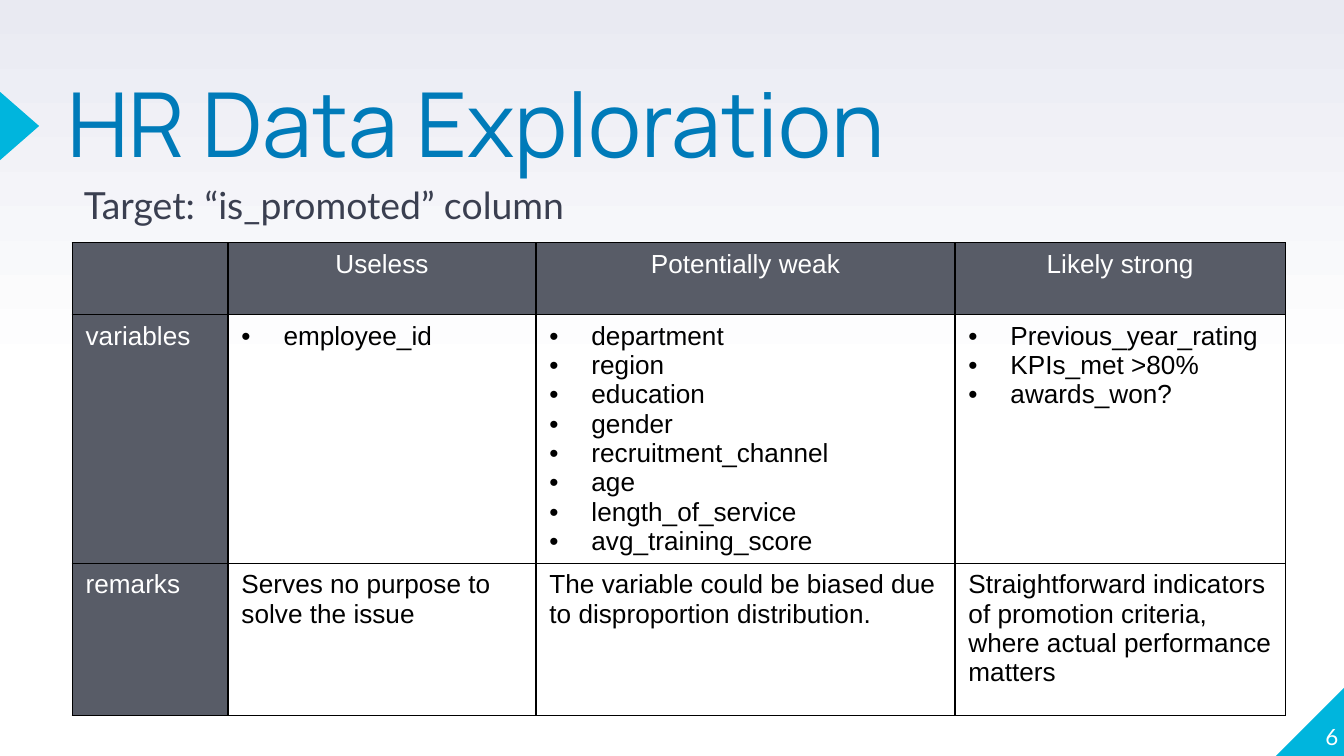
from lxml.etree import SubElement
from pptx import Presentation
from pptx.dml.color import RGBColor
from pptx.enum.shapes import MSO_SHAPE
from pptx.enum.text import MSO_ANCHOR, MSO_AUTO_SIZE, PP_ALIGN
from pptx.oxml.ns import qn
from pptx.util import Pt

TITLE = "HR Data Exploration"
TARGET = "Target: “is_promoted” column"
PAGE_NUMBER = "6"
HEADINGS = ["", "Useless", "Potentially weak", "Likely strong"]
VARIABLES = [
    ["employee_id"],
    ["department", "region", "education", "gender", "recruitment_channel",
     "age", "length_of_service", "avg_training_score"],
    ["Previous_year_rating", "KPIs_met >80%", "awards_won?"],
]
REMARKS = [
    "Serves no purpose to solve the issue",
    "The variable could be biased due to disproportion distribution.",
    "Straightforward indicators of promotion criteria, "
    "where actual performance matters",
]

COLORS = {
    "white": "FFFFFF", "haze": "E9EAF2", "accent": "00B5DD",
    "title": "007BB9", "target": "3A3F50", "header": "585C67",
    "black": "000000",
}
WIDTH, HEIGHT = 720, 405
MARGIN = 36
COLUMN_WIDTHS = [83.5, 165, 224.5, 177]
ROW_HEIGHTS = [38.6, 133.2, 81.4]
BULLET_INDENT = Pt(22.5)
BORDER_WIDTH = Pt(0.75)


def color(name):
    return RGBColor.from_string(COLORS[name])


def set_font(paragraph, name, size, color_name):
    font = paragraph.font
    font.name, font.size, font.bold = name, Pt(size), False
    font.color.rgb = color(color_name)


def place(shape, left, top, width, height):
    shape.left, shape.top = Pt(left), Pt(top)
    shape.width, shape.height = Pt(width), Pt(height)


def fill_frame(shape, text, anchor=MSO_ANCHOR.TOP):
    """Put text in a frame without margins and return its paragraph."""
    frame = shape.text_frame
    frame.text = text
    frame.word_wrap, frame.auto_size = True, MSO_AUTO_SIZE.NONE
    frame.vertical_anchor = anchor
    frame.margin_left = frame.margin_right = 0
    frame.margin_top = frame.margin_bottom = 0
    return frame.paragraphs[0]


def add_triangle(slide, preset, box, rotation):
    triangle = slide.shapes.add_shape(preset, *map(Pt, box))
    triangle.rotation = rotation
    triangle.shadow.inherit = False
    triangle.fill.solid()
    triangle.fill.fore_color.rgb = color("accent")
    triangle.line.fill.background()


def set_indent(paragraph, left, first=0):
    properties = paragraph._p.get_or_add_pPr()
    properties.set("marL", str(int(left)))
    properties.set("indent", str(int(first)))
    return properties


def add_bullet(paragraph):
    properties = set_indent(paragraph, BULLET_INDENT, -BULLET_INDENT)
    bullet_color = SubElement(properties, qn("a:buClr"))
    SubElement(bullet_color, qn("a:srgbClr"), val=COLORS["black"])
    SubElement(properties, qn("a:buFont"), typeface="Arial")
    SubElement(properties, qn("a:buChar"), char="•")


def add_borders(cell):
    properties = cell._tc.get_or_add_tcPr()
    for position, side in enumerate(("lnL", "lnR", "lnT", "lnB")):
        line = SubElement(properties, qn(f"a:{side}"), w=str(BORDER_WIDTH))
        properties.insert(position, line)
        fill = SubElement(line, qn("a:solidFill"))
        SubElement(fill, qn("a:srgbClr"), val=COLORS["black"])


def fill_cell(cell, content, is_header, is_heading):
    """A list becomes bullets; a string becomes one plain paragraph."""
    bulleted = isinstance(content, list)
    cell.text = "\n".join(content) if bulleted else content
    if is_header:
        cell.fill.solid()
        cell.fill.fore_color.rgb = color("header")
    else:
        cell.fill.background()
    add_borders(cell)
    for paragraph in cell.text_frame.paragraphs:
        if bulleted:
            add_bullet(paragraph)
        if is_heading:
            paragraph.alignment = PP_ALIGN.CENTER
        set_font(paragraph, "Arial", 14, "white" if is_header else "black")


def add_variable_table(slide):
    rows = [HEADINGS, ["variables", *VARIABLES], ["remarks", *REMARKS]]
    table = slide.shapes.add_table(
        len(rows), len(HEADINGS), Pt(38.7), Pt(130),
        Pt(sum(COLUMN_WIDTHS)), Pt(sum(ROW_HEIGHTS))).table
    table.first_row = table.horz_banding = False
    for column, width in zip(table.columns, COLUMN_WIDTHS):
        column.width = Pt(width)
    for r, (contents, height) in enumerate(zip(rows, ROW_HEIGHTS)):
        table.rows[r].height = Pt(height)
        for c, content in enumerate(contents):
            fill_cell(table.cell(r, c), content, r == 0 or c == 0, r == 0)


def main():
    deck = Presentation()
    deck.slide_width, deck.slide_height = Pt(WIDTH), Pt(HEIGHT)
    slide = deck.slides.add_slide(deck.slide_layouts[5])

    background = slide.background.fill
    background.gradient()
    background.gradient_angle = 90
    for stop, position, name in zip(
            background.gradient_stops, (0.5, 1), ("white", "haze")):
        stop.position, stop.color.rgb = position, color(name)

    corner = 36.5
    add_triangle(slide, MSO_SHAPE.RIGHT_TRIANGLE,
                 (WIDTH - corner, HEIGHT - corner, corner, corner), 270)
    add_triangle(slide, MSO_SHAPE.ISOSCELES_TRIANGLE,
                 (-7.9, 57, 36.7, 21), 90)

    title = slide.shapes.title
    place(title, MARGIN, 47.5, 538, 56)
    heading = fill_frame(title, TITLE)
    heading.alignment, heading.line_spacing = PP_ALIGN.LEFT, 0.8
    set_font(heading, "Manrope", 48, "title")

    target = fill_frame(
        slide.shapes.add_textbox(Pt(MARGIN), Pt(95), Pt(374), Pt(39)), TARGET)
    target.line_spacing, target.space_before = 1.1, Pt(6)
    set_indent(target, Pt(9))
    set_font(target, "Lato", 20, "target")

    number = fill_frame(
        slide.shapes.add_textbox(Pt(681), Pt(365), Pt(36), Pt(36.7)),
        PAGE_NUMBER, MSO_ANCHOR.BOTTOM)
    number.alignment = PP_ALIGN.RIGHT
    set_font(number, "Lato", 12, "white")

    add_variable_table(slide)
    deck.save("out.pptx")


if __name__ == "__main__":
    main()
